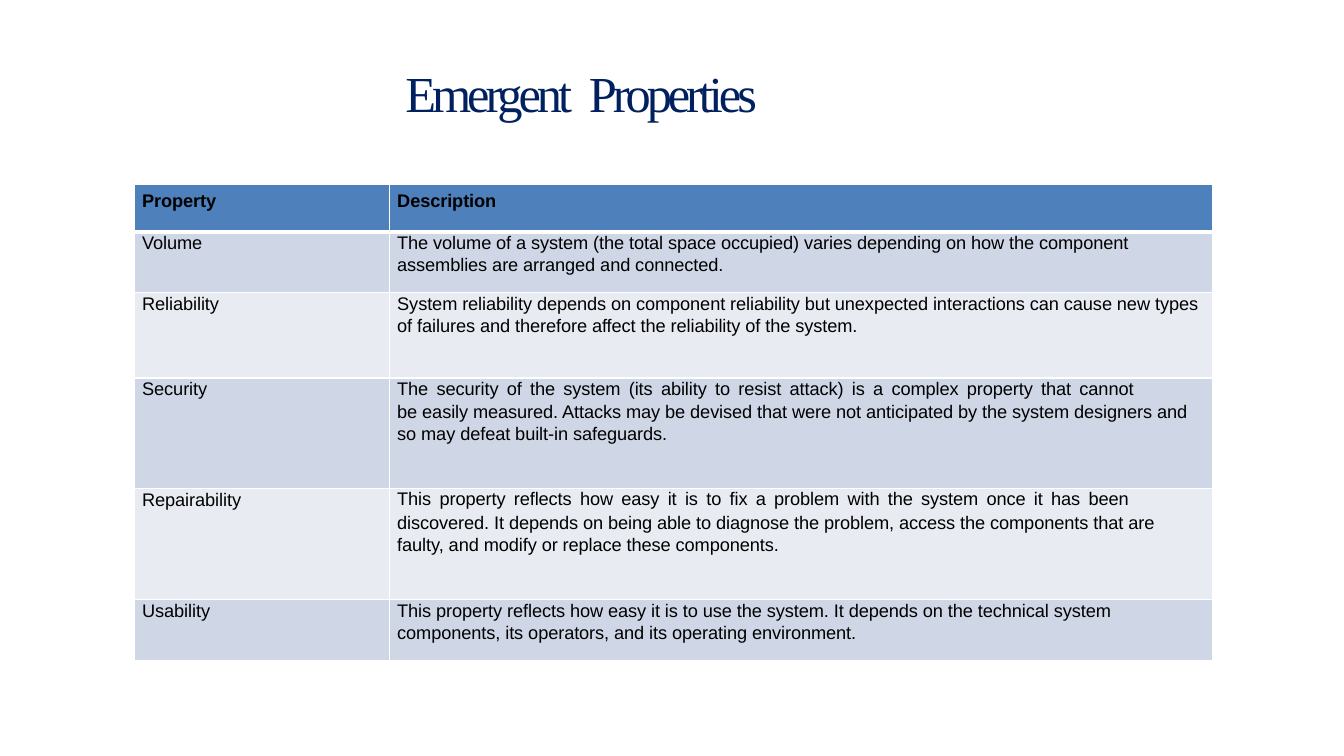
from dataclasses import dataclass

from lxml import etree
from pptx import Presentation
from pptx.dml.color import RGBColor
from pptx.enum.text import MSO_ANCHOR
from pptx.oxml.ns import qn
from pptx.util import Inches, Pt

MIDDLE = MSO_ANCHOR.MIDDLE
TOP = MSO_ANCHOR.TOP

COLORS = {
    "title": "002060",
    "text": "000000",
    "head": "4E80BC",
    "dark": "CFD7E6",
    "light": "E8EBF2",
    "line": "FFFFFF",
}


@dataclass
class Style:
    font: str
    size: float
    color: str
    track: int
    bold: bool = False


@dataclass
class Line:
    text: str
    lead: float = 15.7
    gap: int | None = None


@dataclass
class Row:
    name: str
    lines: list[Line]
    height: float


TITLE = Style("Times New Roman", 36, "title", -290)
HEAD = Style("Arial", 13, "text", -5, True)
BODY = Style("Arial", 13, "text", -5)
WIDTHS = (2.53, 8.17)
WIDE = 230

ROWS = [
    Row("Property", [Line("Description")], 0.47),
    Row("Volume", [
        Line("The volume of a system (the total space occupied) varies depending on "
             "how the component assemblies are arranged and connected."),
    ], 0.6),
    Row("Reliability", [
        Line("System reliability depends on component reliability but unexpected "
             "interactions can cause new types of failures and therefore affect "
             "the reliability of the system."),
    ], 0.85),
    Row("Security", [
        Line("The security of the system (its ability to resist attack) is a complex "
             "property that cannot", 15, WIDE),
        Line("be easily measured. Attacks may be devised that were not anticipated by "
             "the system designers and so may defeat built-in safeguards."),
    ], 1.1),
    Row("Repairability", [
        Line("This property reflects how easy it is to fix a problem with the system "
             "once it has been", 15, WIDE),
        Line("discovered. It depends on being able to diagnose the problem, access the "
             "components that are faulty, and modify or replace these components."),
    ], 1.1),
    Row("Usability", [
        Line("This property reflects how easy it is to use the system. It depends on "
             "the technical system components, its operators, and its operating "
             "environment."),
    ], 0.6),
]


def add_run(para, text: str, style: Style, track: int) -> None:
    run = para.add_run()
    run.text = text
    font = run.font
    font.name = style.font
    font.size = Pt(style.size)
    font.bold = style.bold
    font.color.rgb = RGBColor.from_string(COLORS[style.color])
    run._r.get_or_add_rPr().set("spc", str(track))


def add_line(para, line: Line, style: Style) -> None:
    if line.gap is None:
        add_run(para, line.text, style, style.track)
        return
    for index, word in enumerate(line.text.split()):
        if index:
            add_run(para, " ", style, line.gap)
        add_run(para, word, style, style.track)


def add_title(slide) -> None:
    box = slide.shapes.add_textbox(Inches(4.02), Inches(0.6), Inches(5.3), Inches(0.62))
    frame = box.text_frame
    frame.word_wrap = True
    frame.vertical_anchor = MIDDLE
    frame.margin_left = frame.margin_right = frame.margin_bottom = 0
    frame.margin_top = Inches(0.01)
    add_line(frame.paragraphs[0], Line("Emergent Properties", gap=300), TITLE)


def set_edge(cell, index: int, side: str, width: float) -> None:
    edge = etree.Element(qn(f"a:ln{side}"), w=str(Pt(width)))
    fill = etree.SubElement(edge, qn("a:solidFill"))
    etree.SubElement(fill, qn("a:srgbClr"), val=COLORS["line"])
    cell._tc.get_or_add_tcPr().insert(index, edge)


def fill_cell(cell, lines: list[Line], row: int) -> None:
    head = row == 0
    shade = "head" if head else "dark" if row % 2 else "light"
    cell.fill.solid()
    cell.fill.fore_color.rgb = RGBColor.from_string(COLORS[shade])
    thick = {(0, "B"), (1, "T")}
    for index, side in enumerate("LRTB"):
        set_edge(cell, index, side, 3 if (row, side) in thick else 1)
    cell.margin_left = cell.margin_right = cell.margin_bottom = 0
    cell.margin_top = Inches(0.07 if head else 0)
    cell.vertical_anchor = TOP
    frame = cell.text_frame
    for index, line in enumerate(lines):
        para = frame.add_paragraph() if index else frame.paragraphs[0]
        props = para._p.get_or_add_pPr()
        props.set("marL", str(Inches(0.08)))
        props.set("marR", str(Inches(0.08)))
        if not head:
            para.line_spacing = Pt(line.lead)
        if index:
            para.space_before = Pt(0.9)
        add_line(para, line, HEAD if head else BODY)


def add_grid(slide) -> None:
    high = sum(row.height for row in ROWS)
    table = slide.shapes.add_table(
        len(ROWS), len(WIDTHS), Inches(1.33), Inches(1.83),
        Inches(sum(WIDTHS)), Inches(high),
    ).table
    for column, width in zip(table.columns, WIDTHS):
        column.width = Inches(width)
    for index, row in enumerate(ROWS):
        table.rows[index].height = Inches(row.height)
        fill_cell(table.cell(index, 0), [Line(row.name, 15.5)], index)
        fill_cell(table.cell(index, 1), row.lines, index)


def main() -> None:
    deck = Presentation()
    deck.slide_width = Inches(13.33)
    deck.slide_height = Inches(7.5)
    slide = deck.slides.add_slide(deck.slide_layouts[6])
    add_title(slide)
    add_grid(slide)
    deck.save("out.pptx")


if __name__ == "__main__":
    main()
